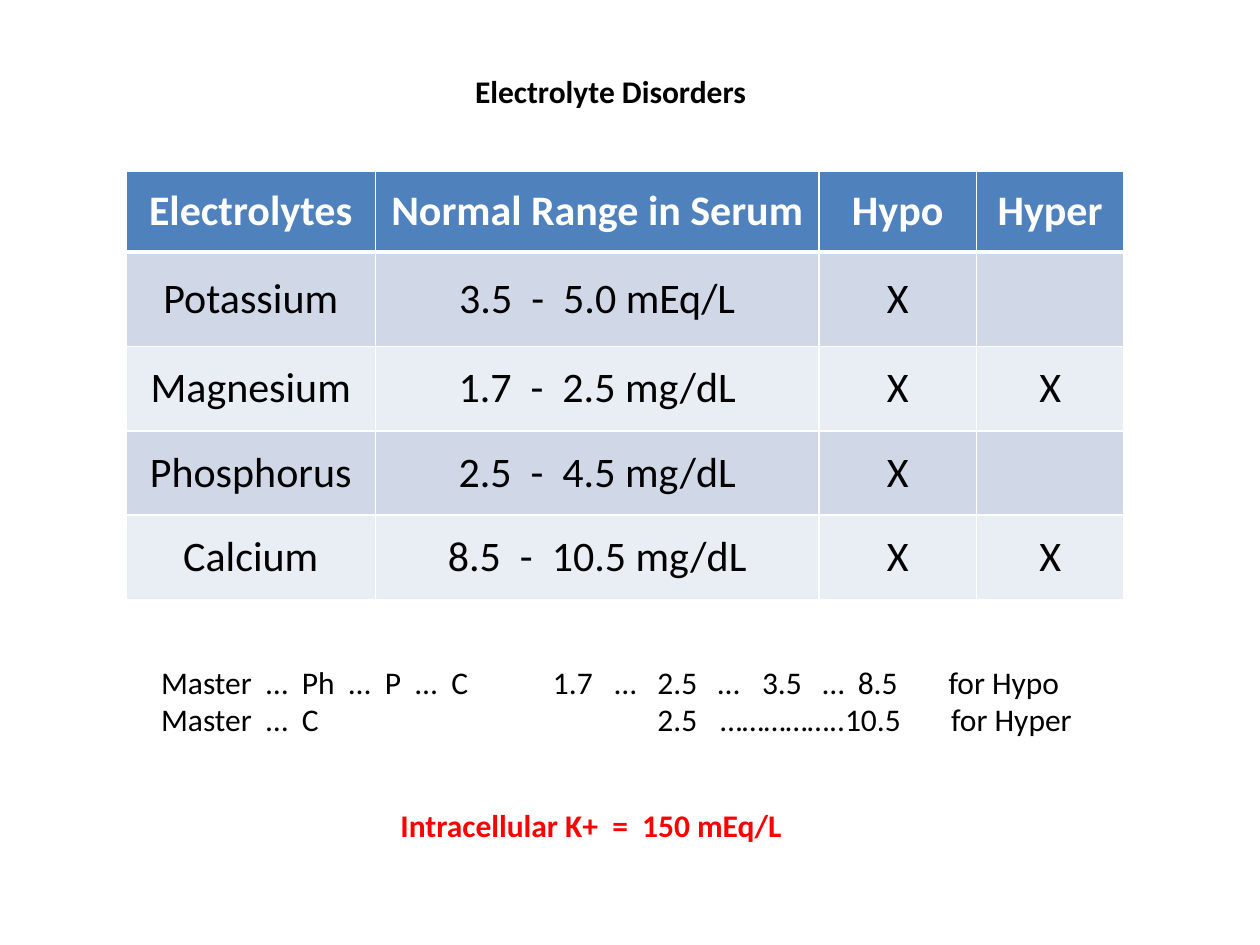
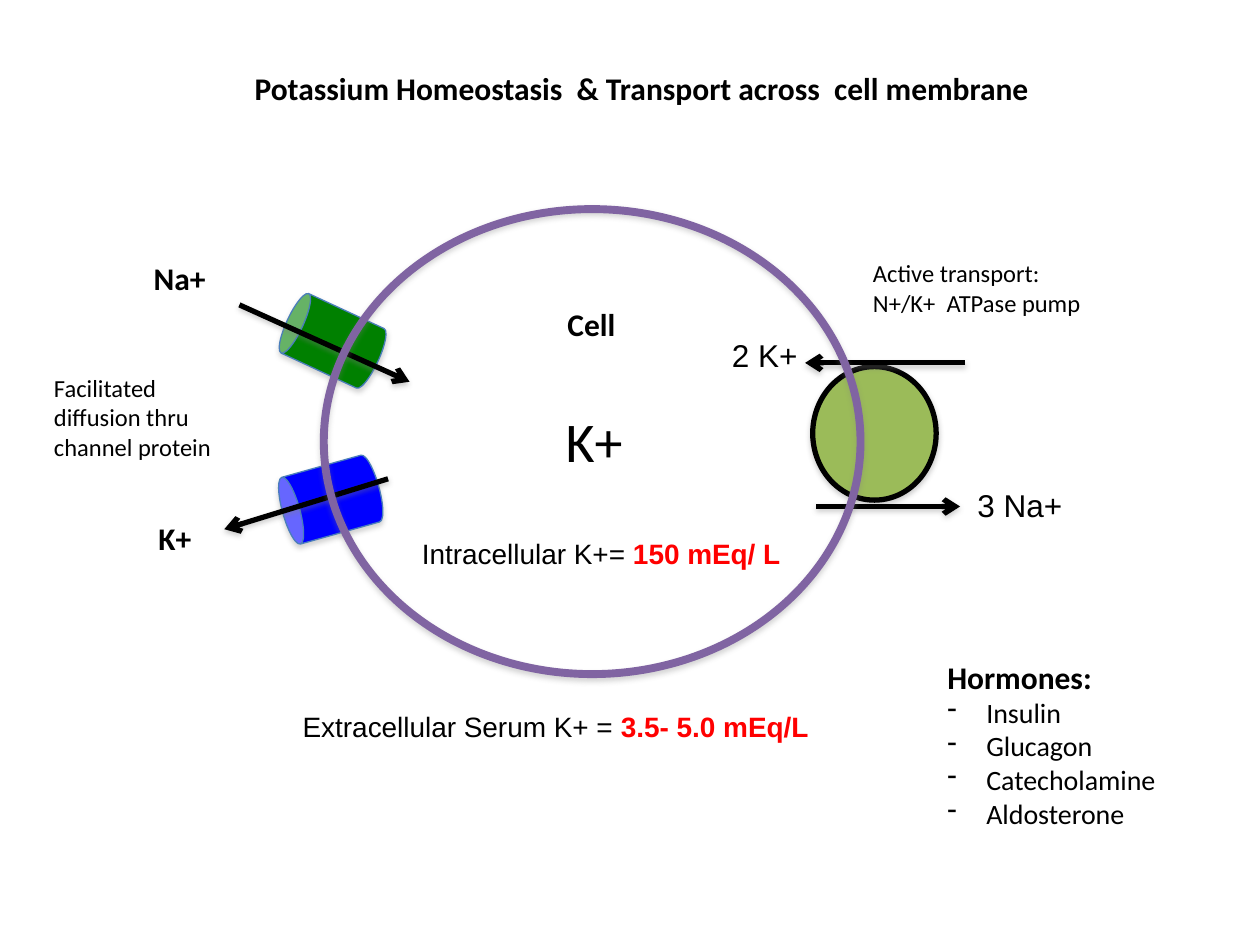
from lxml.etree import SubElement
from pptx import Presentation
from pptx.dml.color import RGBColor
from pptx.enum.shapes import MSO_CONNECTOR, MSO_SHAPE
from pptx.enum.text import MSO_ANCHOR, PP_ALIGN
from pptx.oxml.ns import qn
from pptx.util import Inches, Pt

COLORS = {
    "black": "000000", "white": "FFFFFF", "red": "FF0000", "shadow": "808080",
    "header": "4F81BD", "band": "D0D8E8", "pale": "E9EDF4", "pump": "9BBB59",
    "sodium": "008000", "potassium": "0000FF", "edge": "4A7EBB",
    "membrane": "8064A2",
}
BODY = {"name": "Calibri", "size": 18, "bold": False, "color": "black"}
BOLD = {"bold": True}
ARIAL = {"name": "Arial"}
ALERT = {"color": "red", "bold": True}
CENTER = PP_ALIGN.CENTER


def color(name):
    return RGBColor.from_string(COLORS[name])


def inches(box):
    return [Inches(value) for value in box]


def inside(box, x, y, *size):
    """Move an offset from the corner of a region onto the page."""
    return (box[0] + x, box[1] + y, *size)


# Text
def format_font(font, **changes):
    values = {**BODY, **changes}
    font.color.rgb = color(values.pop("color"))
    values["size"] = Pt(values["size"])
    for key, value in values.items():
        setattr(font, key, value)


def write_para(para, spans, align=PP_ALIGN.LEFT, **style):
    """Fill a paragraph with a string or with (text, changes) spans."""
    para.alignment = align
    if isinstance(spans, str):
        spans = [(spans, {})]
    for text, changes in spans:
        span = para.add_run()
        span.text = text
        format_font(span.font, **{**style, **changes})


def fill_frame(frame, paras, **style):
    frame.word_wrap = True
    frame.vertical_anchor = MSO_ANCHOR.TOP
    for index, spans in enumerate(paras):
        para = frame.add_paragraph() if index else frame.paragraphs[0]
        write_para(para, spans, **style)


def add_text(page, box, *paras, **style):
    frame = page.shapes.add_textbox(*inches(box)).text_frame
    fill_frame(frame, paras, **style)
    return frame


def set_tabs(para, stops):
    tabs = SubElement(para._p.get_or_add_pPr(), qn("a:tabLst"))
    for stop in stops:
        SubElement(tabs, qn("a:tab"), pos=str(Inches(stop)), algn="l")


def set_dash(para, indent=0.31):
    props = para._p.get_or_add_pPr()
    props.set("marL", str(Inches(indent)))
    props.set("indent", str(-Inches(indent)))
    SubElement(props, qn("a:buChar"), char="-")


# Shapes and arrows
def add_shadow(shape, alpha, distance):
    props = shape._element.spPr
    effects = props.find(qn("a:effectLst"))
    if effects is None:
        effects = SubElement(props, qn("a:effectLst"))
    shadow = SubElement(effects, qn("a:outerShdw"), blurRad=str(Pt(3.1)),
                        dist=str(Pt(distance)), dir="5400000", rotWithShape="0")
    tint = SubElement(shadow, qn("a:srgbClr"), val=COLORS["shadow"])
    SubElement(tint, qn("a:alpha"), val=str(alpha * 1000))


def add_body(page, kind, box, fill, line, width, alpha=35, distance=1.8):
    shape = page.shapes.add_shape(kind, *inches(box))
    if fill:
        shape.fill.solid()
        shape.fill.fore_color.rgb = color(fill)
    else:
        shape.fill.background()
    shape.line.color.rgb = color(line)
    shape.line.width = Pt(width)
    shape.shadow.inherit = False
    add_shadow(shape, alpha, distance)
    return shape


def add_arrow(page, start, end):
    arrow = page.shapes.add_connector(MSO_CONNECTOR.STRAIGHT,
                                      *inches(start), *inches(end))
    arrow.line.color.rgb = color("black")
    arrow.line.width = Pt(3)
    SubElement(arrow.line._get_or_add_ln(), qn("a:tailEnd"), type="arrow")
    add_shadow(arrow, 38, 1.6)


def add_page(deck, title, box):
    page = deck.slides.add_slide(deck.slide_layouts[5])
    holder = page.shapes.title
    holder.left, holder.top, holder.width, holder.height = inches(box)
    fill_frame(holder.text_frame, [title], **BOLD)
    return page


# Electrolyte table
def add_borders(cell, bottom):
    props = cell._tc.get_or_add_tcPr()
    for side, width in (("L", 1), ("R", 1), ("T", 1), ("B", bottom)):
        line = SubElement(props, qn(f"a:ln{side}"), w=str(Pt(width)))
        fill = SubElement(line, qn("a:solidFill"))
        SubElement(fill, qn("a:srgbClr"), val=COLORS["white"])


def electrolyte_table(page, box):
    rows = [
        ("Electrolytes", "Normal Range in Serum", "Hypo", "Hyper"),
        ("Potassium", "3.5  -  5.0 mEq/L", "X", ""),
        ("Magnesium", "1.7  -  2.5 mg/dL", "X", "X"),
        ("Phosphorus", "2.5  -  4.5 mg/dL", "X", ""),
        ("Calcium", "8.5  -  10.5 mg/dL", "X", "X"),
    ]
    table = page.shapes.add_table(len(rows), len(rows[0]), *inches(box)).table
    for column, width in zip(table.columns, (1.98, 3.52, 1.25, 1.17)):
        column.width = Inches(width)
    for row, height in zip(table.rows, (0.64, 0.75, 0.67, 0.67, 0.67)):
        row.height = Inches(height)
    for r, texts in enumerate(rows):
        head = r == 0
        fill = "header" if head else ("pale", "band")[r % 2]
        for c, text in enumerate(texts):
            cell = table.cell(r, c)
            add_borders(cell, 3 if head else 1)
            cell.fill.solid()
            cell.fill.fore_color.rgb = color(fill)
            cell.vertical_anchor = MSO_ANCHOR.MIDDLE
            if text:
                write_para(cell.text_frame.paragraphs[0], text, CENTER, size=24,
                           bold=head, color="white" if head else "black")


def mnemonic(page, box):
    frame = add_text(
        page, box,
        "Master  …  Ph  …  P  …  C\t1.7\t…\t2.5\t…\t3.5\t…\t8.5\tfor Hypo",
        "Master  …  C\t2.5\t……………..10.5\tfor Hyper")
    hypo, hyper = frame.paragraphs
    set_tabs(hypo, (3.11, 3.6, 3.94, 4.42, 4.77, 5.25, 5.53, 6.25))
    set_tabs(hyper, (3.94, 4.44, 6.27))


# Cell diagram
def pump(page, box):
    add_body(page, MSO_SHAPE.OVAL, box, "pump", "black", 3, 38, 1.6)
    add_arrow(page, inside(box, 1.21, -0.03), inside(box, -0.06, -0.03))
    add_arrow(page, inside(box, 0.03, 1.11), inside(box, 1.17, 1.11))
    add_text(page, inside(box, 1.21, 0.9, 1.17, 0.4), "3 Na+", **ARIAL)
    add_text(page, inside(box, -0.74, -0.29, 0.85, 0.4), "2 K+", **ARIAL)
    add_text(page, inside(box, 0.38, -0.91, 1.95, 0.57), "Active transport:",
             "N+/K+  ATPase pump", size=14)


def channel(page, box, fill, turn, start, end, ion, label):
    can = add_body(page, MSO_SHAPE.CAN, box, fill, "edge", 0.75)
    can.adjustments[0] = 0.25
    can.rotation = turn
    add_arrow(page, inside(box, *start), inside(box, *end))
    add_text(page, inside(box, *label), ion, **BOLD)


def channels(page, box):
    channel(page, inside(box, 2.05, 0.3, 0.52, 0.79), "sodium", 294.9,
            (-0.48, 0.11), (0.87, 0.72), "Na+", (-1.26, -0.3, 0.89, 0.51))
    channel(page, inside(box, 2.02, 1.56, 0.55, 0.79), "potassium", 254.4,
            (0.73, 0.23), (-0.57, 0.63), "K+", (-1.19, 0.5, 1.06, 0.51))
    add_text(page, inside(box, 0, 0.9, 1.68, 0.81),
             "Facilitated diffusion thru channel protein", size=14)


def cell_body(page, box):
    add_body(page, MSO_SHAPE.OVAL, box, None, "membrane", 4.5)
    add_text(page, inside(box, 1.69, 0.71, 0.87, 0.42), "Cell", align=CENTER, **BOLD)
    add_text(page, inside(box, 1.69, 1.52, 0.91, 0.64), "K+", align=CENTER, size=32)
    add_text(page, inside(box, 0.68, 2.55, 3.16, 0.37),
             [("Intracellular K+= ", {}), ("150 mEq/ L", ALERT)], size=16, **ARIAL)
    add_text(page, inside(box, -0.4, 3.92, 4.48, 0.37),
             [("Extracellular Serum K+ = ", {}), ("3.5- 5.0 mEq/L", ALERT)],
             align=CENTER, size=16, **ARIAL)


def hormones(page, box):
    names = ("Insulin", "Glucagon", "Catecholamine", "Aldosterone")
    frame = add_text(page, box, [("Hormones:", {"size": 18, "bold": True})],
                     *names, size=16)
    for para in frame.paragraphs[1:]:
        set_dash(para)


def main():
    deck = Presentation()
    deck.slide_width, deck.slide_height = inches((10, 7.5))

    page = add_page(deck, "Electrolyte Disorders", (3.67, 0.52, 2.5, 0.42))
    electrolyte_table(page, (1, 1.36, 7.92, 3.39))
    mnemonic(page, (1.18, 5.21, 7.5, 0.71))
    add_text(page, (3.08, 6.35, 3.33, 0.4), "Intracellular K+  =  150 mEq/L", **ALERT)

    page = add_page(deck, "Potassium Homeostasis  & Transport across  cell membrane",
                    (1.92, 0.5, 6.42, 0.4))
    pump(page, (6.45, 2.91, 0.98, 1.06))
    channels(page, (0.33, 2.01))
    cell_body(page, (2.57, 1.66, 4.26, 3.69))
    hormones(page, (7.42, 5.17, 2.03, 1.48))

    deck.save("out.pptx")


if __name__ == "__main__":
    main()
